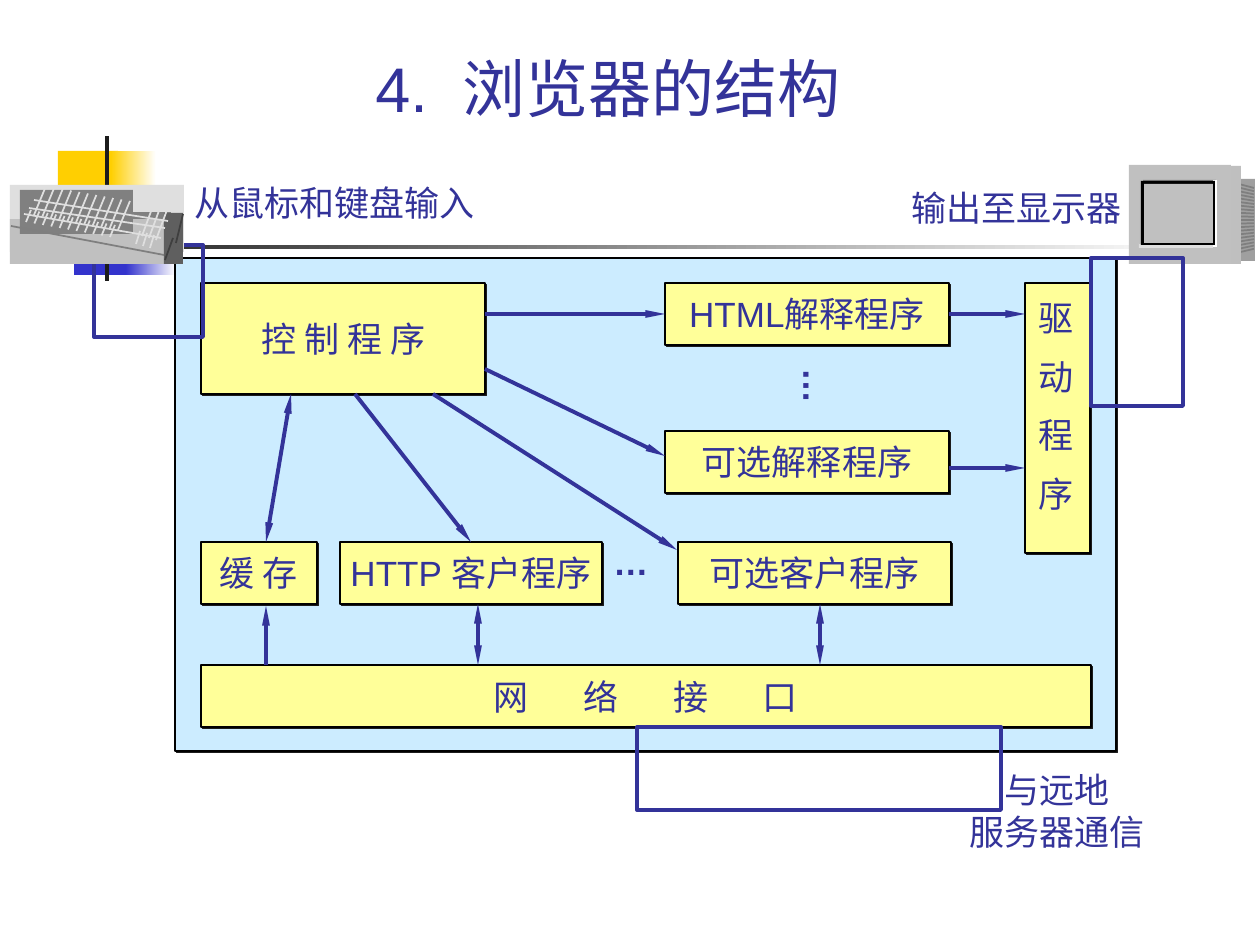
from lxml.etree import SubElement
from pptx import Presentation
from pptx.dml.color import RGBColor
from pptx.enum.shapes import MSO_CONNECTOR, MSO_SHAPE
from pptx.enum.text import MSO_ANCHOR, MSO_AUTO_SIZE, PP_ALIGN
from pptx.oxml.ns import qn
from pptx.util import Pt

PX = 914400 / 126
INK, BLACK, YELLOW, SKY = "333399", "000000", "FFFF99", "CCECFF"
GOLD, BLUE, CHARCOAL, WHITE = "FFCF01", "3333CC", "1C1C1C", "FFFFFF"


def emu(*lengths):
    return [round(length * PX) for length in lengths]


def color(text):
    return RGBColor.from_string(text)


class Diagram:
    """Holds the text style, the page, and the shape collection being filled."""

    font, size = "Arial", 20

    def __init__(self, page):
        self.page = page
        self.shapes = page.shapes

    def start_group(self):
        self.shapes = self.page.shapes.add_group_shape().shapes

    def end_group(self):
        self.shapes = self.page.shapes

    def run(self, para, text, size=None, bold=None, spacing=0):
        """Adds a run; spacing is the extra gap after each letter in points."""
        span = para.add_run()
        span.text = text
        span.font.name = self.font
        span.font.size = Pt(size or self.size)
        span.font.bold = bold
        span.font.color.rgb = color(INK)
        if spacing:
            span._r.get_or_add_rPr().set("spc", str(round(spacing * 100)))

    def title(self, place, parts, size):
        box = self.page.shapes.title
        box.left, box.top, box.width, box.height = emu(*place)
        frame = box.text_frame
        frame.auto_size = MSO_AUTO_SIZE.NONE
        frame.vertical_anchor = MSO_ANCHOR.BOTTOM
        para = frame.paragraphs[0]
        para.alignment = PP_ALIGN.CENTER
        for text, spacing in parts:
            self.run(para, text, size, spacing=spacing)

    def rect(self, place, fill=None, line=None, width=0.75, fade=False):
        """Draws a rectangle; fade runs its fill out to white on the right."""
        box = self.shapes.add_shape(MSO_SHAPE.RECTANGLE, *emu(*place))
        box.shadow.inherit = False
        if fade:
            box.fill.gradient()
            box.fill.gradient_angle = 0
            for stop, tone in zip(box.fill.gradient_stops, (fill, WHITE)):
                stop.color.rgb = color(tone)
        elif fill:
            box.fill.solid()
            box.fill.fore_color.rgb = color(fill)
        else:
            box.fill.background()
        if line:
            box.line.color.rgb = color(line)
            box.line.width = Pt(width)
        else:
            box.line.fill.background()
        return box

    def panel(self, place, parts=(), fill=YELLOW):
        """Draws an outlined box with a hard shadow and a centred label."""
        box = self.rect(place, fill, BLACK)
        effects = box._element.spPr.find(qn("a:effectLst"))
        shadow = SubElement(effects, qn("a:outerShdw"), dist=str(Pt(1.4)),
                            dir="2700000", algn="ctr", rotWithShape="0")
        SubElement(shadow, qn("a:srgbClr"), val=CHARCOAL)
        frame = box.text_frame
        frame.word_wrap = False
        frame.vertical_anchor = MSO_ANCHOR.MIDDLE
        para = frame.paragraphs[0]
        para.alignment = PP_ALIGN.CENTER
        for text, spacing in parts:
            self.run(para, text, spacing=spacing)

    def label(self, place, lines, align=PP_ALIGN.LEFT, bold=None, rotation=0,
              wrap=False, line_spacing=None, gap=0):
        box = self.shapes.add_textbox(*emu(*place))
        box.rotation = rotation
        frame = box.text_frame
        frame.word_wrap = wrap
        frame.auto_size = MSO_AUTO_SIZE.SHAPE_TO_FIT_TEXT
        for index, text in enumerate(lines):
            para = frame.paragraphs[0] if index == 0 else frame.add_paragraph()
            para.alignment = align
            para.line_spacing = line_spacing
            if index and gap:
                para.space_before = Pt(gap)
            self.run(para, text, bold=bold)

    def line(self, start, end, tone, width=1, heads=()):
        """Draws a line; heads lists the ends ("headEnd", "tailEnd") with arrows."""
        link = self.shapes.add_connector(MSO_CONNECTOR.STRAIGHT, *emu(*start, *end))
        link.line.color.rgb = color(tone)
        link.line.width = Pt(width)
        for head in heads:
            SubElement(link.line._get_or_add_ln(), qn("a:" + head),
                       type="triangle", w="sm", len="lg")
        SubElement(link._element.spPr, qn("a:effectLst"))

    def arrow(self, start, end, heads=("tailEnd",)):
        self.line(start, end, INK, 2.25, heads)


def draw_ornament(diagram):
    for place, tone, fade in (
        ((58, 151, 60, 66), GOLD, False),
        ((111, 151, 45, 66), GOLD, True),
        ((74, 209, 58, 66), BLUE, False),
        ((126, 209, 50, 66), BLUE, True),
        ((105, 136, 4, 145), CHARCOAL, False),
        ((60, 245, 1134, 4), CHARCOAL, True),
    ):
        diagram.rect(place, tone, fade=fade)


def draw_monitor(diagram):
    diagram.start_group()
    diagram.rect((1239, 179, 16, 82), "9F9F9F")
    for row in range(20):
        diagram.line((1239, 184 + 3.6 * row), (1254, 188 + 3.2 * row), "7F7F7F")
    for place, tone in (
        ((1226, 166, 15, 98), "BFBFBF"),
        ((1129, 165, 102, 99), "C0C0C0"),
        ((1143, 180, 73, 2), "808080"),
        ((1213, 180, 4, 67), WHITE),
        ((1139, 243, 74, 5), "DFDFDF"),
        ((1139, 180, 4, 64), "BFBFBF"),
        ((1141, 181, 74, 64), BLACK),
        ((1144, 184, 69, 59), "C0C0C0"),
    ):
        diagram.rect(place, tone)
    diagram.end_group()


def draw_keyboard(diagram):
    diagram.start_group()
    for place, tone in (
        ((10, 185, 174, 67), "DFDFDF"),
        ((131, 212, 40, 31), "808080"),
        ((10, 219, 154, 45), "C0C0C0"),
        ((164, 213, 19, 51), "5F5F5F"),
        ((20, 190, 113, 44), "808080"),
    ):
        diagram.rect(place, tone)
    diagram.line((11, 226), (164, 255), "7F7F7F")
    key = "DFDFDF"
    for column in range(11):
        x, y = 8.4 * column, 1.5 * column
        diagram.line((26 + x, 222 + y), (31 + x, 210 + y), key)
        diagram.line((34 + x, 215 + y), (46 + x, 186 + y), key)
    for column in range(3):
        x, y = 7 * column, 2 * column
        diagram.line((136 + x, 244 + y), (140 + x, 231 + y), key)
        diagram.line((142 + x, 236 + y), (153 + x, 206 + y), key)
    for start, end in (((34, 200), (168, 221)), ((29, 208), (165, 228)),
                       ((24, 214), (161, 238))):
        diagram.line(start, end, key)
    for start, end in (((165, 260), (173, 238)), ((176, 243), (183, 214))):
        diagram.line(start, end, "3F3F3F")
    diagram.end_group()


def draw_browser(diagram):
    diagram.panel((175, 258, 941, 493), fill=SKY)
    diagram.panel((201, 283, 284, 111))
    diagram.panel((1025, 283, 65, 270))
    for place, parts in (
        ((201, 665, 890, 62), [("网络接", 31.2), ("口", 0)]),
        ((678, 542, 273, 62), [("可选客户程序", 0)]),
        ((665, 283, 284, 62), [("HTML解释程序", 0)]),
        ((665, 431, 284, 62), [("可选解释程序", 0)]),
        ((340, 542, 262, 62), [("HTTP 客户程序", 0)]),
        ((201, 542, 116, 62), [("缓 存", 0)]),
    ):
        diagram.panel(place, parts)

    for start, end in (
        ((355, 394), (471, 542)), ((433, 394), (677, 550)),
        ((485, 314), (665, 314)), ((485, 369), (665, 456)),
        ((949, 314), (1025, 314)), ((949, 468), (1025, 468)),
        ((266, 665), (266, 606)),
    ):
        diagram.arrow(start, end)
    for start, end in (((478, 604), (478, 665)), ((820, 604), (820, 665)),
                       ((291, 394), (266, 542))):
        diagram.arrow(start, end, ("headEnd", "tailEnd"))
    for place in ((1091, 258, 92, 148), (637, 727, 364, 83), (94, 245, 109, 92)):
        diagram.rect(place, line=INK, width=2.25)

    diagram.label((249, 311, 190, 55), ["控 制 程 序"])
    diagram.label((1026, 302, 69, 219), "驱动程序", wrap=True,
                  line_spacing=0.7, gap=16.7)
    diagram.label((601, 534, 60, 55), ["…"], bold=True)
    diagram.label((787, 359, 60, 55), ["…"], bold=True, rotation=90)


def main():
    deck = Presentation()
    deck.slide_width, deck.slide_height = emu(1260, 945)
    diagram = Diagram(deck.slides.add_slide(deck.slide_layouts[5]))
    draw_ornament(diagram)
    diagram.title((159, 35, 898, 96),
                  [("4.", 0), (" ", 9.7), ("浏览器的结构", 0)], 36)
    draw_monitor(diagram)
    diagram.label((955, 762, 204, 97), ["与远地", "服务器通信"], PP_ALIGN.CENTER)
    diagram.label((899, 180, 240, 55), ["输出至显示器"])
    diagram.label((182, 175, 310, 55), ["从鼠标和键盘输入"])
    draw_browser(diagram)
    draw_keyboard(diagram)
    deck.save("out.pptx")


if __name__ == "__main__":
    main()
